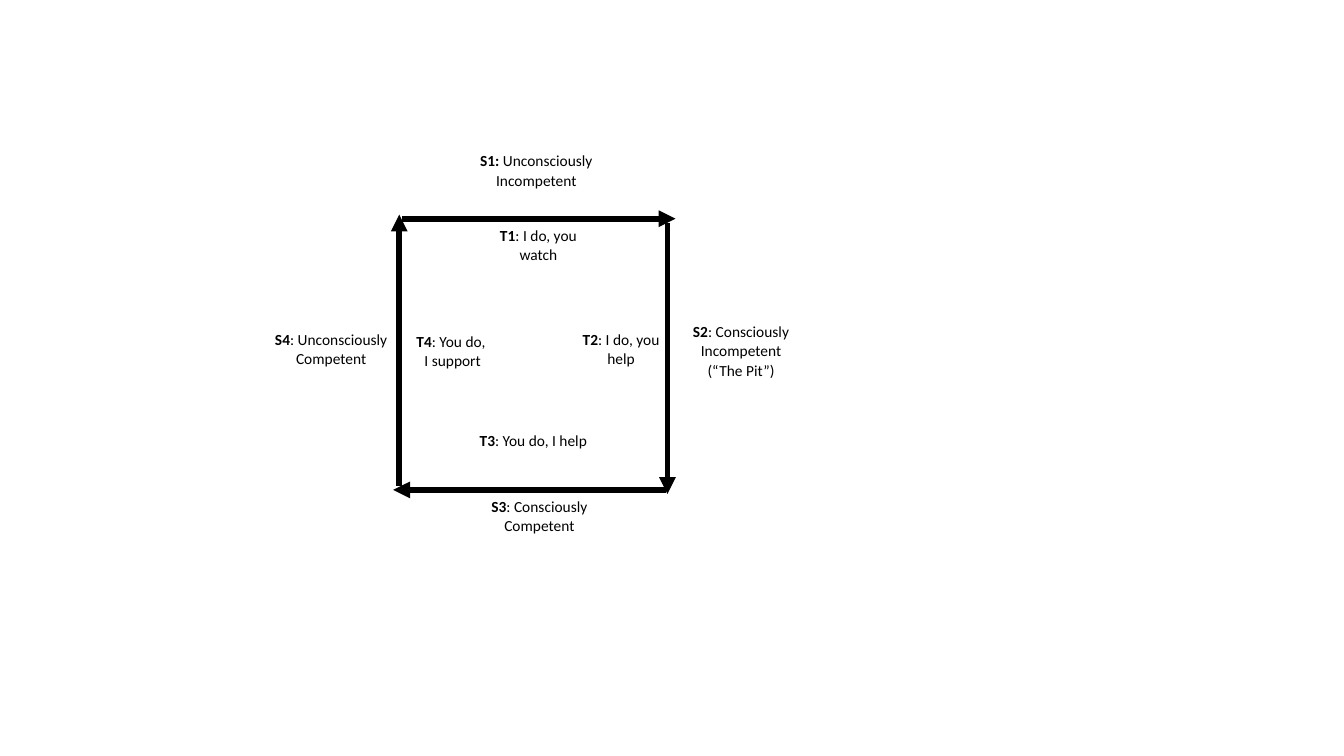
import pptx
import pptx.dml.color
import pptx.enum.shapes
import pptx.enum.text
import pptx.oxml
import pptx.oxml.ns
import pptx.util
from pptx.util import Inches

COLOURS = {"ink": "000000"}
FONT_NAME = "Calibri"
BLANK_LAYOUT = 6

# Start x, start y, end x, end y of each side of the cycle
CYCLE_ARROWS = [
    (3.96, 4.82, 3.96, 2.13),
    (3.99, 2.17, 6.70, 2.17),
    (6.61, 4.86, 3.90, 4.86),
    (6.62, 2.21, 6.62, 4.90),
]

# Left, top, width, height, then paragraphs of (bold part, regular part)
STAGE_LABELS = [
    (4.71, 1.45, 1.22, 0.78, [("S1:", " Unconsciously Incompetent")]),
    (6.74, 3.14, 1.22, 0.94, [("S2", ": Consciously Incompetent (“The Pit”)")]),
    (4.74, 4.88, 1.22, 0.59, [("S3", ": Consciously Competent")]),
    (2.62, 3.22, 1.33, 0.73, [("S4", ": Unconsciously Competent")]),
]
TEACHING_LABELS = [
    (4.73, 2.19, 1.22, 0.59, [("T1", ": I do, you watch")]),
    (4.68, 4.23, 1.22, 0.59, [("T3", ": You do, I help")]),
    (5.65, 3.22, 1.02, 0.59, [("T2", ": I do, you help")]),
    (3.99, 3.24, 1.00, 0.59, [("T4", ": You do, "), ("", "I support")]),
]


def colour(name):
    """Return the named colour as an RGB value."""
    return pptx.dml.color.RGBColor.from_string(COLOURS[name])


def add_arrow(slide, start_x, start_y, end_x, end_y):
    """Draw a thick straight arrow with a triangular head at its end."""
    arrow = slide.shapes.add_connector(
        pptx.enum.shapes.MSO_CONNECTOR.STRAIGHT,
        Inches(start_x), Inches(start_y), Inches(end_x), Inches(end_y))
    arrow.line.color.rgb = colour("ink")
    arrow.line.width = pptx.util.Pt(4)
    properties = arrow.element.spPr
    line = properties.find(pptx.oxml.ns.qn("a:ln"))
    namespace = pptx.oxml.ns.nsdecls("a")
    line.append(pptx.oxml.parse_xml(f'<a:tailEnd {namespace} type="triangle"/>'))
    properties.append(pptx.oxml.parse_xml(f"<a:effectLst {namespace}/>"))


def add_run(paragraph, text, bold):
    """Append one formatted run to a paragraph."""
    run = paragraph.add_run()
    run.text = text
    run.font.name = FONT_NAME
    run.font.size = pptx.util.Pt(11)
    run.font.bold = bold
    run.font.color.rgb = colour("ink")


def add_label(slide, left, top, width, height, lines):
    """Add a centred label whose code is bold and description regular."""
    label = slide.shapes.add_textbox(
        Inches(left), Inches(top), Inches(width), Inches(height))
    frame = label.text_frame
    frame.word_wrap = True
    frame.margin_left = frame.margin_right = Inches(0.04)
    frame.margin_top = frame.margin_bottom = Inches(0.04)
    for index, (code, description) in enumerate(lines):
        paragraph = frame.add_paragraph() if index else frame.paragraphs[0]
        paragraph.alignment = pptx.enum.text.PP_ALIGN.CENTER
        paragraph.line_spacing = 1.06
        if code:
            add_run(paragraph, code, True)
        add_run(paragraph, description, False)


def main():
    """Build the learning cycle slide and save it."""
    presentation = pptx.Presentation()
    presentation.slide_width = Inches(13.33)
    presentation.slide_height = Inches(7.5)
    slide = presentation.slides.add_slide(presentation.slide_layouts[BLANK_LAYOUT])
    for arrow in CYCLE_ARROWS:
        add_arrow(slide, *arrow)
    for label in STAGE_LABELS + TEACHING_LABELS:
        add_label(slide, *label)
    presentation.save("out.pptx")


main()
